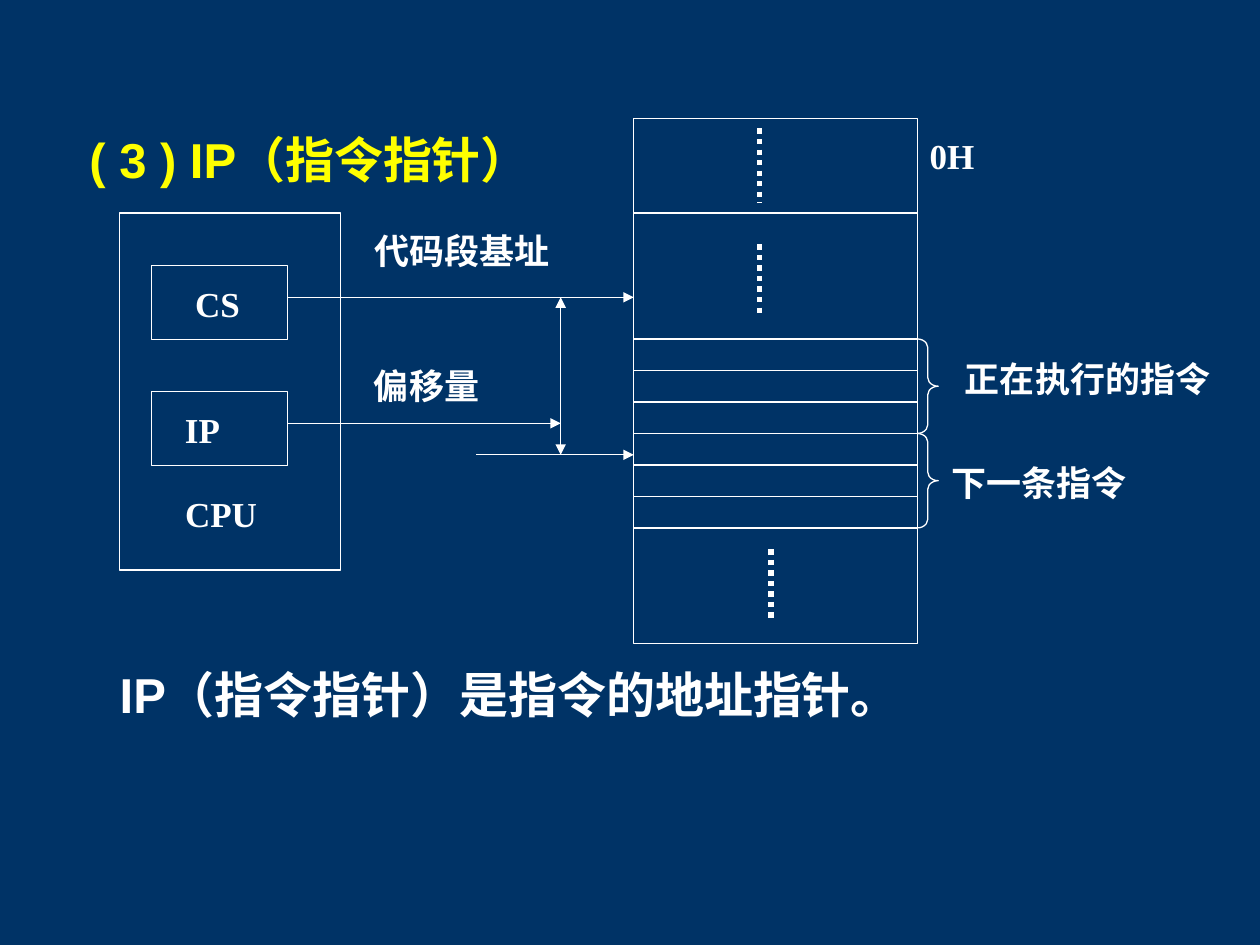
from dataclasses import dataclass

from lxml.etree import SubElement
from pptx import Presentation
from pptx.dml.color import RGBColor
from pptx.enum.dml import MSO_LINE
from pptx.enum.shapes import MSO_CONNECTOR, MSO_SHAPE
from pptx.enum.text import MSO_ANCHOR, MSO_AUTO_SIZE, PP_ALIGN
from pptx.oxml.ns import qn
from pptx.util import Inches, Pt

WHITE, YELLOW, NAVY = "FFFFFF", "FFFF00", "003366"
UNIT = 1 / 12  # grid step of the diagram, in inches


@dataclass
class Region:
    """A diagram part whose origin is given in inches and contents in grid steps."""
    left: float
    top: float

    def x(self, col):
        return Inches(round(self.left + col * UNIT, 2))

    def y(self, row):
        return Inches(round(self.top + row * UNIT, 2))

    def box(self, col, row, cols, rows):
        return self.x(col), self.y(row), Inches(cols * UNIT), Inches(rows * UNIT)

    def inner(self, col, row):
        return Region(self.left + col * UNIT, self.top + row * UNIT)


def color(value):
    return RGBColor.from_string(value)


def write(holder, text, size=20, font="Times New Roman", fill=WHITE,
          anchor=MSO_ANCHOR.TOP, spacing=1.0):
    frame = holder.text_frame
    frame.word_wrap = True
    frame.auto_size = MSO_AUTO_SIZE.NONE
    frame.vertical_anchor = anchor
    frame.text = text
    paragraph = frame.paragraphs[0]
    paragraph.alignment = PP_ALIGN.LEFT
    paragraph.line_spacing = spacing
    paragraph.space_before = Pt(0)
    run_font = paragraph.runs[0].font
    run_font.name, run_font.size, run_font.bold = font, Pt(size), True
    run_font.color.rgb = color(fill)
    return paragraph


def label(slide, region, text, col, row, cols):
    write(slide.shapes.add_textbox(*region.box(col, row, cols, 5.25)), text)


def outline(slide, region, col, row, cols, rows, preset=MSO_SHAPE.RECTANGLE):
    shape = slide.shapes.add_shape(preset, *region.box(col, row, cols, rows))
    shape.shadow.inherit = False
    shape.fill.background()
    shape.line.color.rgb = color(WHITE)
    shape.line.width = Pt(0.75)
    return shape


def line(slide, region, start, end, width=0.75, dash=None, arrows=()):
    link = slide.shapes.add_connector(
        MSO_CONNECTOR.STRAIGHT, region.x(start[0]), region.y(start[1]),
        region.x(end[0]), region.y(end[1]))
    link.line.color.rgb = color(WHITE)
    link.line.width = Pt(width)
    if dash:
        link.line.dash_style = dash
    properties = link._element.spPr
    for arrow in arrows:
        SubElement(properties.find(qn("a:ln")), qn(f"a:{arrow}"), type="triangle")
    SubElement(properties, qn("a:effectLst"))


def place(holder, left, top, width, height):
    holder.left, holder.top = Inches(left), Inches(top)
    holder.width, holder.height = Inches(width), Inches(height)


def add_statements(slide):
    heading, conclusion = slide.placeholders
    place(heading, 0.61, 1.03, 8.58, 0.52)
    write(heading, "( 3 ) IP（指令指针）", size=28, font="Arial", fill=YELLOW, spacing=0.9)
    place(conclusion, 0.85, 5.28, 7.92, 0.52)
    paragraph = write(conclusion, "IP（指令指针）是指令的地址指针。", size=28, font="Arial",
                      anchor=MSO_ANCHOR.MIDDLE, spacing=0.9)
    properties = paragraph._p.get_or_add_pPr()
    properties.set("marL", "0")
    properties.set("indent", "0")
    SubElement(properties, qn("a:buNone"))


def add_memory(slide, region):
    width, first_cell, cell = 27, 21, 3
    outline(slide, region, 0, 0, width, 50)
    dividers = [9] + [first_cell + cell * i for i in range(7)]
    for row in dividers:
        line(slide, region, (0, row), (width, row))
    # Elided memory contents
    for col, row in ((12, 1), (12, 12), (13, 41)):
        line(slide, region, (col, row), (col, row + 7), 3, MSO_LINE.ROUND_DOT)
    label(slide, region, "0H", width, 1, 7)
    # Three memory cells per instruction
    for i, (text, col, row, cols) in enumerate((("正在执行的指令", 30.3, 22.2, 26),
                                                ("下一条指令", 29, 32, 20))):
        brace = outline(slide, region, width, first_cell + 3 * cell * i, 2, 3 * cell,
                        MSO_SHAPE.RIGHT_BRACE)
        brace.adjustments[0] = 0.41
        label(slide, region, text, col, row - 0.6 * 0, cols)


def add_cpu(slide, region):
    outline(slide, region, 0, 0, 21, 34)
    for name, row, text_col in (("CS", 5, 6), ("IP", 17, 5)):
        outline(slide, region, 3, row, 13, 7)
        label(slide, region, name, text_col, row + 1, 7)
    label(slide, region, "CPU", 5, 26, 10)


def add_addressing(slide, region):
    end = ("tailEnd",)
    for start, stop, arrows in (((16, 17), (49, 17), end),
                                ((34, 32), (49, 32), end),
                                ((42, 17), (42, 32), ("headEnd", "tailEnd")),
                                ((16, 29), (42, 29), end)):
        line(slide, region, start, stop, arrows=arrows)
    label(slide, region, "代码段基址", 23, 10, 20)
    label(slide, region, "偏移量", 23, 22.8, 13)


def main():
    deck = Presentation()
    deck.slide_width, deck.slide_height = Inches(10), Inches(7.5)
    slide = deck.slides.add_slide(deck.slide_layouts[1])
    slide.background.fill.solid()
    slide.background.fill.fore_color.rgb = color(NAVY)

    add_statements(slide)
    diagram = Region(0.95, 0.94)
    add_memory(slide, diagram.inner(49, 0))
    add_cpu(slide, diagram.inner(0, 9))
    add_addressing(slide, diagram)
    deck.save("out.pptx")


if __name__ == "__main__":
    main()
